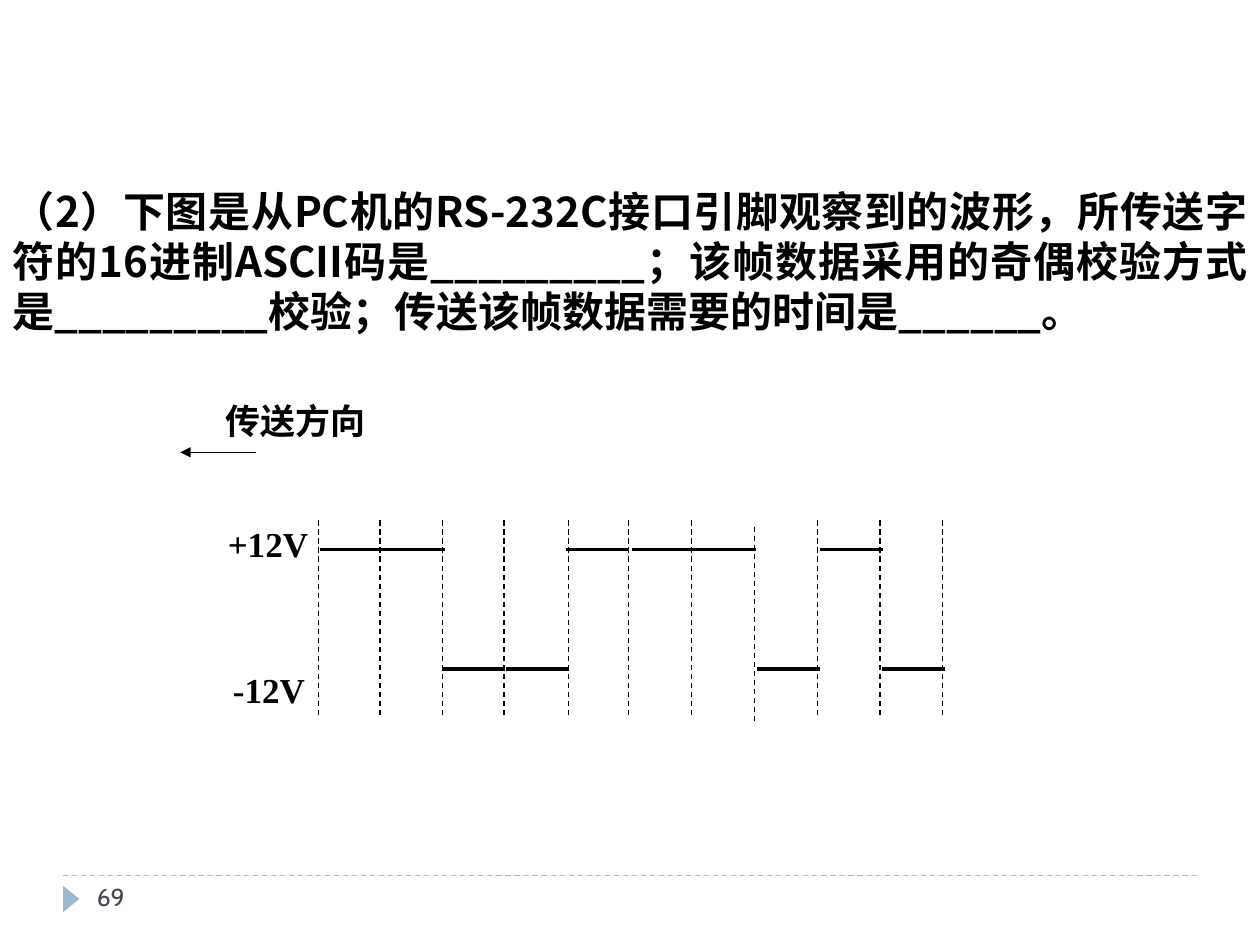
"""Build the RS-232C waveform exercise slide."""
from lxml.etree import SubElement
from pptx import Presentation
from pptx.dml.color import RGBColor
from pptx.enum.dml import MSO_LINE
from pptx.enum.shapes import MSO_CONNECTOR, MSO_SHAPE
from pptx.enum.text import MSO_ANCHOR, PP_ALIGN
from pptx.oxml.ns import qn
from pptx.util import Inches, Pt

BLACK = RGBColor(0x00, 0x00, 0x00)
BLUE = RGBColor(0x9F, 0xB8, 0xCD)
SLATE = RGBColor(0x46, 0x46, 0x53)
CJK = "Noto Sans CJK JP"
SERIF = "Times New Roman"

prs = Presentation()
prs.slide_width, prs.slide_height = Inches(10), Inches(7.5)
s = prs.slides.add_slide(prs.slide_layouts[6])


def add_line(x1, y1, x2, y2, color=BLACK, width=0.75, dash=None):
    cx = s.shapes.add_connector(MSO_CONNECTOR.STRAIGHT, *map(Inches, (x1, y1, x2, y2)))
    cx.line.color.rgb = color
    for name, value in {"width": Pt(width), "dash_style": dash}.items():
        setattr(cx.line, name, value)
    SubElement(cx._element.spPr, qn("a:effectLst"))
    return cx


def add_text(text, box, size, font, color=BLACK, bold=True, align=PP_ALIGN.JUSTIFY):
    tf = s.shapes.add_textbox(*map(Inches, box)).text_frame
    for name, value in {"word_wrap": True, "vertical_anchor": MSO_ANCHOR.TOP}.items():
        setattr(tf, name, value)
    p = tf.paragraphs[0]
    p.alignment = align
    r = p.add_run()
    r.text = text
    for name, value in {"size": Pt(size), "name": font, "bold": bold}.items():
        setattr(r.font, name, value)
    r.font.color.rgb = color
    SubElement(r._r.get_or_add_rPr(), qn("a:ea"), typeface=font)


add_line(0.5, 6.95, 9.5, 6.95, BLUE, dash=MSO_LINE.DASH)
sp = s.shapes.add_shape(MSO_SHAPE.ISOSCELES_TRIANGLE, *map(Inches, (0.46, 7.07, 0.21, 0.13)))
sp.rotation = 90
sp.shadow.inherit = False
sp.fill.solid()
sp.fill.fore_color.rgb = BLUE
sp.line.fill.background()

question = (
    "（2）下图是从PC机的RS-232C接口引脚观察到的波形，所传送字符的16进制ASCII码是_________；"
    "该帧数据采用的奇偶校验方式是_________校验；传送该帧数据需要的时间是______。"
)
add_text(question, (0, 1.42, 10, 1.72), 24, CJK)
add_text("传送方向", (1.69, 3.12, 2.01, 0.73), 20, CJK)
add_text("+12V", (1.71, 4.1, 1.06, 0.75), 20, SERIF)
add_text("-12V", (1.75, 5.26, 0.85, 0.66), 20, SERIF)
add_text("69", (0.67, 6.95, 2.17, 0.4), 14, "Cabin", SLATE, False, PP_ALIGN.LEFT)

arrow = add_line(2.03, 3.59, 1.43, 3.59)
SubElement(arrow.line._get_or_add_ln(), qn("a:tailEnd"), type="triangle")

for x in (2.53, 3.01, 3.02, 3.51, 4, 4.51, 4.99, 5.49, 5.99, 6.49, 6.98, 6.99, 7.48):
    top = 4.18 if x == 5.99 else 4.13
    add_line(x, top, x, top + 1.55, dash=MSO_LINE.DASH)

bit_starts = (2.54, 3.03, 3.51, 4.02, 4.49, 5.02, 5.5, 6.01, 6.51, 7)
level_y = {"1": 4.36, "0": 5.31}
for x, bit in zip(bit_starts, "1100111010"):
    add_line(x, level_y[bit], x + 0.5, level_y[bit], width=2)

prs.save("out.pptx")
